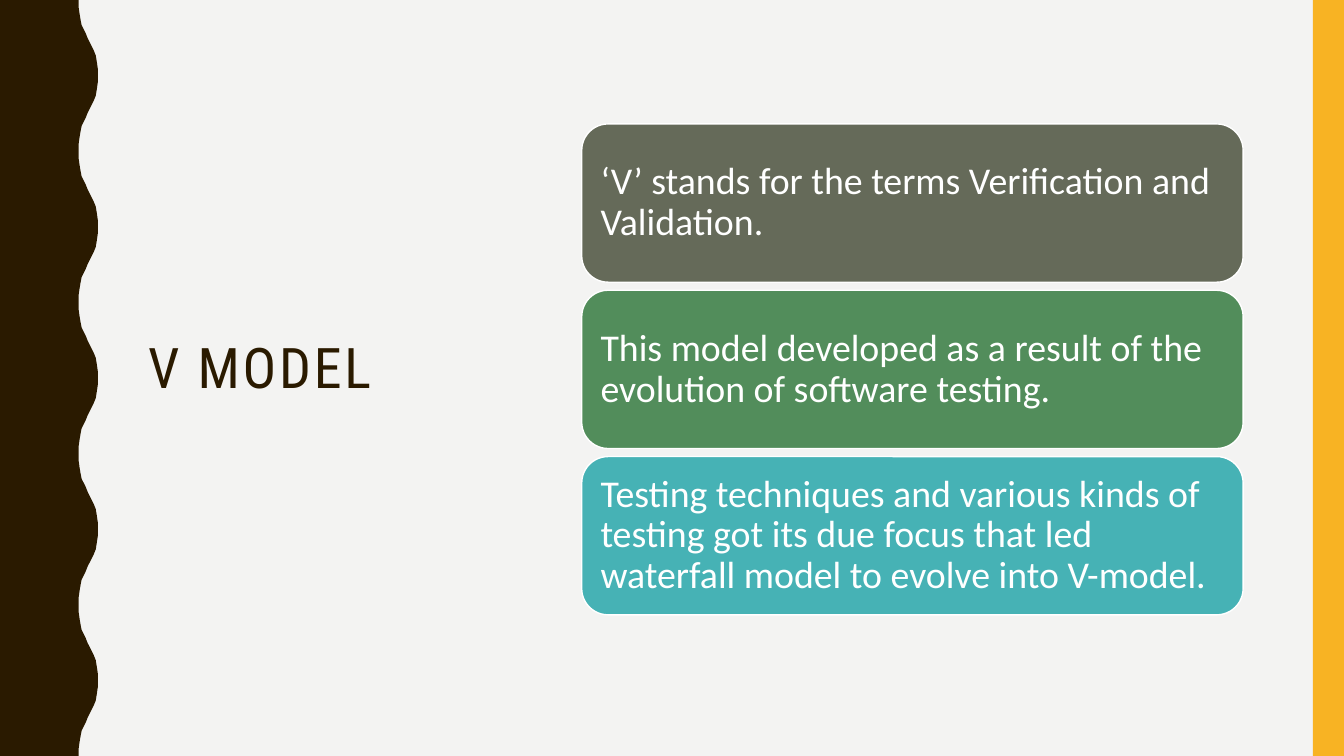
from lxml import etree
from pptx import Presentation
from pptx.dml.color import RGBColor
from pptx.enum.shapes import MSO_SHAPE
from pptx.enum.text import MSO_ANCHOR, PP_ALIGN
from pptx.util import Inches, Pt

BROWN = RGBColor(0x2A, 0x1A, 0x00)
AMBER = RGBColor(0xF8, 0xB3, 0x23)
PAPER = RGBColor(0xF3, 0xF3, 0xF2)
WHITE = RGBColor(0xFF, 0xFF, 0xFF)
OLIVE = RGBColor(0x65, 0x6A, 0x59)
GREEN = RGBColor(0x52, 0x8D, 0x5B)
TEAL = RGBColor(0x46, 0xB2, 0xB5)

# Content
TITLE = "V MODEL"
CARDS = [
    ("‘V’ stands for the terms Verification and Validation.", OLIVE),
    ("This model developed as a result of the evolution of software testing.", GREEN),
    ("Testing techniques and various kinds of testing got its due focus that led "
     "waterfall model to evolve into V-model.", TEAL),
]

# Layout, in inches
WIDTH, HEIGHT = 13.33, 7.5
BAND_WIDTH = 0.31
CARD_LEFT, CARD_TOP, CARD_WIDTH, CARD_HEIGHT = 5.77, 1.23, 6.56, 1.57
CARD_PITCH = 1.65
CARD_INSET = 0.11

# Wave: the edge swells over half a period, then mirrors back
WAVES = 5
PERIOD = HEIGHT / WAVES
SWELL = [
    (0.78, 0), (0.78, 0.07), (0.79, 0.14), (0.8, 0.2), (0.81, 0.25),
    (0.83, 0.29), (0.85, 0.33), (0.87, 0.38), (0.89, 0.42), (0.91, 0.46),
    (0.93, 0.5), (0.95, 0.55), (0.96, 0.61), (0.97, 0.68), (0.97, 0.75),
]


def paint(shape, color):
    shape.shadow.inherit = False
    shape.fill.solid()
    shape.fill.fore_color.rgb = color
    shape.line.fill.background()


def write(shape, text, font_name, size, color):
    frame = shape.text_frame
    frame.word_wrap = True
    frame.vertical_anchor = MSO_ANCHOR.MIDDLE
    paragraph = frame.paragraphs[0]
    paragraph.text = text
    paragraph.alignment = PP_ALIGN.LEFT
    paragraph.line_spacing = 0.9
    paragraph.font.name = font_name
    paragraph.font.size = Pt(size)
    paragraph.font.color.rgb = color
    return paragraph


presentation = Presentation()
presentation.slide_width = Inches(WIDTH)
presentation.slide_height = Inches(HEIGHT)
slide = presentation.slides.add_slide(presentation.slide_layouts[6])
slide.background.fill.solid()
slide.background.fill.fore_color.rgb = PAPER
shapes = slide.shapes

# Wavy left edge
period = SWELL + [(x, PERIOD - y) for x, y in SWELL[-2::-1]]
edge = [(x, wave * PERIOD + y) for wave in range(WAVES) for x, y in period]
outline = [(Inches(x), Inches(y)) for x, y in edge + [(0, HEIGHT)]]
builder = shapes.build_freeform(0, 0)
builder.add_line_segments(outline, close=True)
paint(builder.convert_to_shape(), BROWN)

# Right band
band = shapes.add_shape(MSO_SHAPE.RECTANGLE, Inches(WIDTH - BAND_WIDTH), 0,
                        Inches(BAND_WIDTH), Inches(HEIGHT))
paint(band, AMBER)

# Title
title = shapes.add_textbox(Inches(1.37), Inches(0.71), Inches(3.7), Inches(5.93))
heading = write(title, TITLE, "Roboto Condensed", 40, BROWN)
heading.space_after = Pt(6)
heading.runs[0].font.bold = False
for run in heading.runs:
    run.font._element.set("spc", "200")

# Cards
for row, (text, color) in enumerate(CARDS):
    card = shapes.add_shape(MSO_SHAPE.ROUNDED_RECTANGLE, Inches(CARD_LEFT),
                            Inches(CARD_TOP + row * CARD_PITCH),
                            Inches(CARD_WIDTH), Inches(CARD_HEIGHT))
    paint(card, color)
    card.line.color.rgb = WHITE
    card.line.width = Pt(1)
    frame = card.text_frame
    frame.margin_left = frame.margin_right = Inches(CARD_INSET)
    frame.margin_top = frame.margin_bottom = Inches(CARD_INSET)
    write(card, text, "Calibri", 27, WHITE)

presentation.save("out.pptx")
